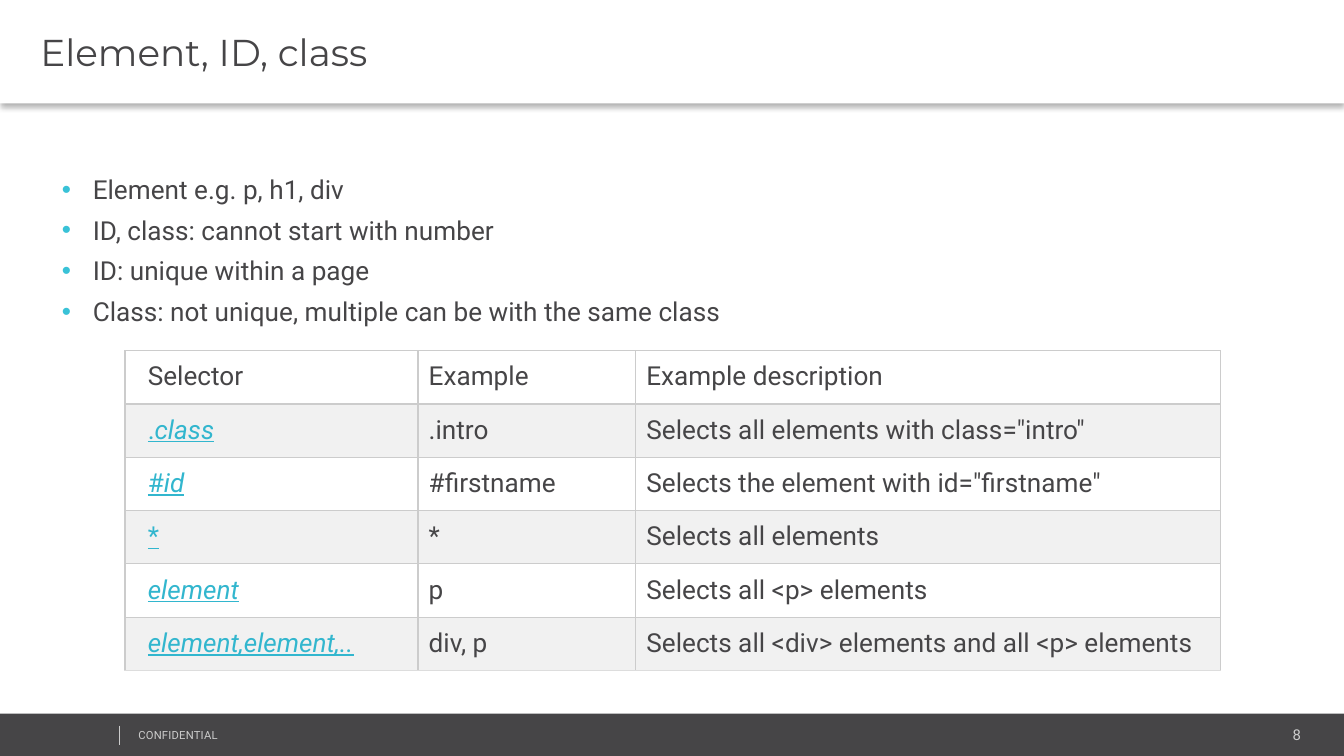
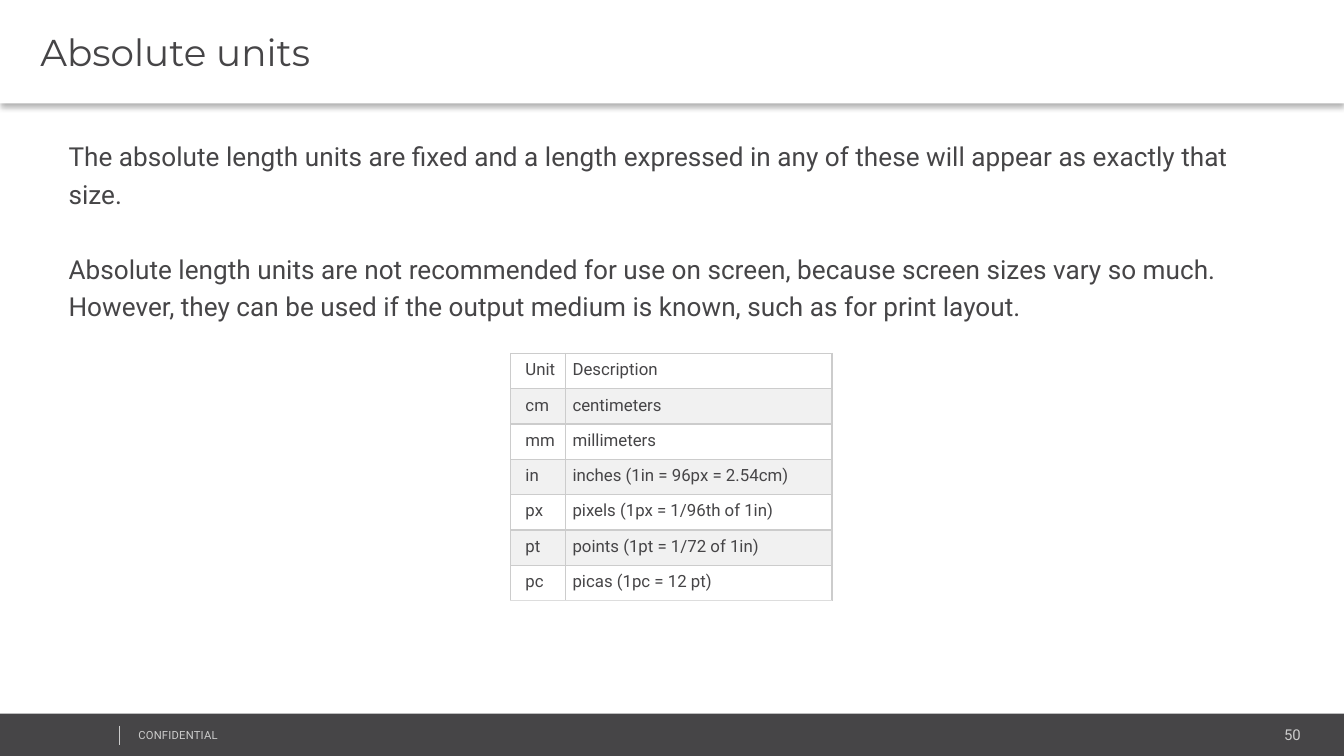
from lxml import etree
from pptx import Presentation
from pptx import util as u
from pptx.dml.color import RGBColor
from pptx.enum import shapes, text
from pptx.oxml import ns

INK, GRAY, LINK, BULLET = "464547", "CCCCCC", "32B6CE", "39C2D7"
WHITE, BAND, TABLE_END = "FFFFFF", "F1F1F1", "DDDDDD"
rgb = RGBColor.from_string


def set_margins(holder, left, top, right, bottom):
    holder.margin_left, holder.margin_top = u.Inches(left), u.Inches(top)
    holder.margin_right, holder.margin_bottom = u.Inches(right), u.Inches(bottom)


def write(frame, lines, size, color=INK, font="Roboto"):
    frame.word_wrap = True
    frame.text = "\n".join(lines)
    for paragraph in frame.paragraphs:
        for run in paragraph.runs:
            run.font.size = u.Pt(size)
            run.font.name = font
            run.font.color.rgb = rgb(color)


pages = [
    {
        "title": "Element, ID, class",
        "number": "8",
        "body_at": (0.39, 1.18),
        "body": [
            "Element e.g. p, h1, div",
            "ID, class: cannot start with number",
            "ID: unique within a page",
            "Class: not unique, multiple can be with the same class",
        ],
        "bulleted": True,
        "line_spacing": 1.3,
        "paragraph_gap": 0,
        "table_at": (0.93, 2.61),
        "table_height": 2.38,
        "columns": [2.18, 1.62, 4.35],
        "cell_size": 14,
        "first_inset": 0.17,
        "inset": 0.08,
        "rows": [
            ("Selector", "Example", "Example description"),
            ((".", "class"), ".intro", 'Selects all elements with class="intro"'),
            (("#", "id"), "#firstname", 'Selects the element with id="firstname"'),
            (("*", ""), "*", "Selects all elements"),
            (("", "element"), "p", "Selects all <p> elements"),
            (("", "element,element,.."), "div, p", "Selects all <div> elements and all <p> elements"),
        ],
    },
    {
        "title": "Absolute units",
        "number": "50",
        "body_at": (0.44, 0.96),
        "body": [
            "The absolute length units are fixed and a length expressed in any of these "
            "will appear as exactly that size.",
            "Absolute length units are not recommended for use on screen, because screen sizes "
            "vary so much. However, they can be used if the output medium is known, such as for print layout.",
        ],
        "bulleted": False,
        "line_spacing": 1.2,
        "paragraph_gap": 20,
        "table_at": (3.8, 2.63),
        "table_height": 1.84,
        "columns": [0.41, 1.98],
        "cell_size": 9,
        "first_inset": 0.11,
        "inset": 0.05,
        "rows": [
            ("Unit", "Description"),
            ("cm", "centimeters"),
            ("mm", "millimeters"),
            ("in", "inches (1in = 96px = 2.54cm)"),
            ("px", "pixels (1px = 1/96th of 1in)"),
            ("pt", "points (1pt = 1/72 of 1in)"),
            ("pc", "picas (1pc = 12 pt)"),
        ],
    },
]

deck = Presentation()
deck.slide_width = u.Inches(10)
deck.slide_height = deck.slide_width * 9 // 16

for page in pages:
    slide = deck.slides.add_slide(deck.slide_layouts[6])

    bands = []
    for top, width, height, color in [(5.31, 10.01, 0.33, INK), (0, 10, 0.77, WHITE)]:
        band = slide.shapes.add_shape(
            shapes.MSO_SHAPE.RECTANGLE, 0, u.Inches(top), u.Inches(width), u.Inches(height))
        band.fill.solid()
        band.fill.fore_color.rgb = rgb(color)
        band.line.fill.background()
        band.shadow.inherit = False
        bands.append(band)

    header = bands[1]
    effects = header._element.spPr.find(ns.qn("a:effectLst"))
    shadow = etree.SubElement(
        effects, ns.qn("a:outerShdw"), blurRad="39370", dist="25400", dir="5400000", rotWithShape="0")
    shadow_color = etree.SubElement(shadow, ns.qn("a:srgbClr"), val="000000")
    etree.SubElement(shadow_color, ns.qn("a:alpha"), val="30000")
    title = header.text_frame
    write(title, [page["title"]], 20, font="Montserrat")
    set_margins(title, 0.3, 0.04, 0.07, 0.04)
    title.vertical_anchor = text.MSO_ANCHOR.MIDDLE
    title.paragraphs[0].alignment = text.PP_ALIGN.LEFT

    frames = []
    for box, lines, size, color in [
        ((8.12, 5.36, 1.63, 0.21), [page["number"]], 8, GRAY),
        ((0.96, 5.38, 2.53, 0.18), ["CONFIDENTIAL"], 6, GRAY),
        ((*page["body_at"], 9.12, 3.7), page["body"], 14, INK),
    ]:
        frame = slide.shapes.add_textbox(*map(u.Inches, box)).text_frame
        write(frame, lines, size, color)
        set_margins(frame, 0.07, 0.04, 0.07, 0.04)
        frames.append(frame)
    number, notice, body = frames
    number.paragraphs[0].alignment = text.PP_ALIGN.RIGHT
    notice.paragraphs[0].runs[0].font._element.set("spc", "10")

    for index, paragraph in enumerate(body.paragraphs):
        paragraph.line_spacing = page["line_spacing"]
        if index and page["paragraph_gap"]:
            paragraph.space_before = u.Pt(page["paragraph_gap"])
        if page["bulleted"]:
            props = paragraph._p.get_or_add_pPr()
            props.set("marL", str(u.Inches(0.23)))
            props.set("indent", str(u.Inches(-0.23)))
            bullet_color = etree.SubElement(props, ns.qn("a:buClr"))
            etree.SubElement(bullet_color, ns.qn("a:srgbClr"), val=BULLET)
            etree.SubElement(props, ns.qn("a:buFont"), typeface="Arial")
            etree.SubElement(props, ns.qn("a:buChar"), char="•")

    divider = slide.shapes.add_connector(
        shapes.MSO_CONNECTOR.STRAIGHT, u.Inches(0.89), u.Inches(5.4), u.Inches(0.89), u.Inches(5.54))
    divider.line.color.rgb = rgb(GRAY)
    divider.line.width = u.Pt(0.25)
    etree.SubElement(divider._element.spPr, ns.qn("a:effectLst"))

    rows, columns = page["rows"], page["columns"]
    grid = slide.shapes.add_table(
        len(rows), len(columns), *map(u.Inches, page["table_at"]),
        u.Inches(sum(columns)), u.Inches(page["table_height"])).table
    grid.first_row = grid.horz_banding = False
    for column, width in zip(grid.columns, columns):
        column.width = u.Inches(width)

    inset = page["inset"]
    for r, row in enumerate(rows):
        for c, content in enumerate(row):
            cell = grid.cell(r, c)
            if isinstance(content, tuple):
                paragraph = cell.text_frame.paragraphs[0]
                for part, italic in zip(content, (False, True)):
                    if part:
                        run = paragraph.add_run()
                        run.text = part
                        run.font.size = u.Pt(page["cell_size"])
                        run.font.name = "Roboto"
                        run.font.color.rgb = rgb(LINK)
                        run.font.italic = italic
                        run.font.underline = True
            else:
                write(cell.text_frame, [content], page["cell_size"])
            set_margins(cell, inset if c else page["first_inset"], inset, inset, inset)
            props = cell._tc.get_or_add_tcPr()
            for side in "LRTB":
                border = etree.SubElement(props, ns.qn(f"a:ln{side}"), w=str(u.Pt(0.75)))
                fill = etree.SubElement(border, ns.qn("a:solidFill"))
                at_end = side == "B" and r == len(rows) - 1
                etree.SubElement(fill, ns.qn("a:srgbClr"), val=TABLE_END if at_end else GRAY)
            cell.fill.solid()
            cell.fill.fore_color.rgb = rgb(BAND if r % 2 else WHITE)

deck.save("out.pptx")
